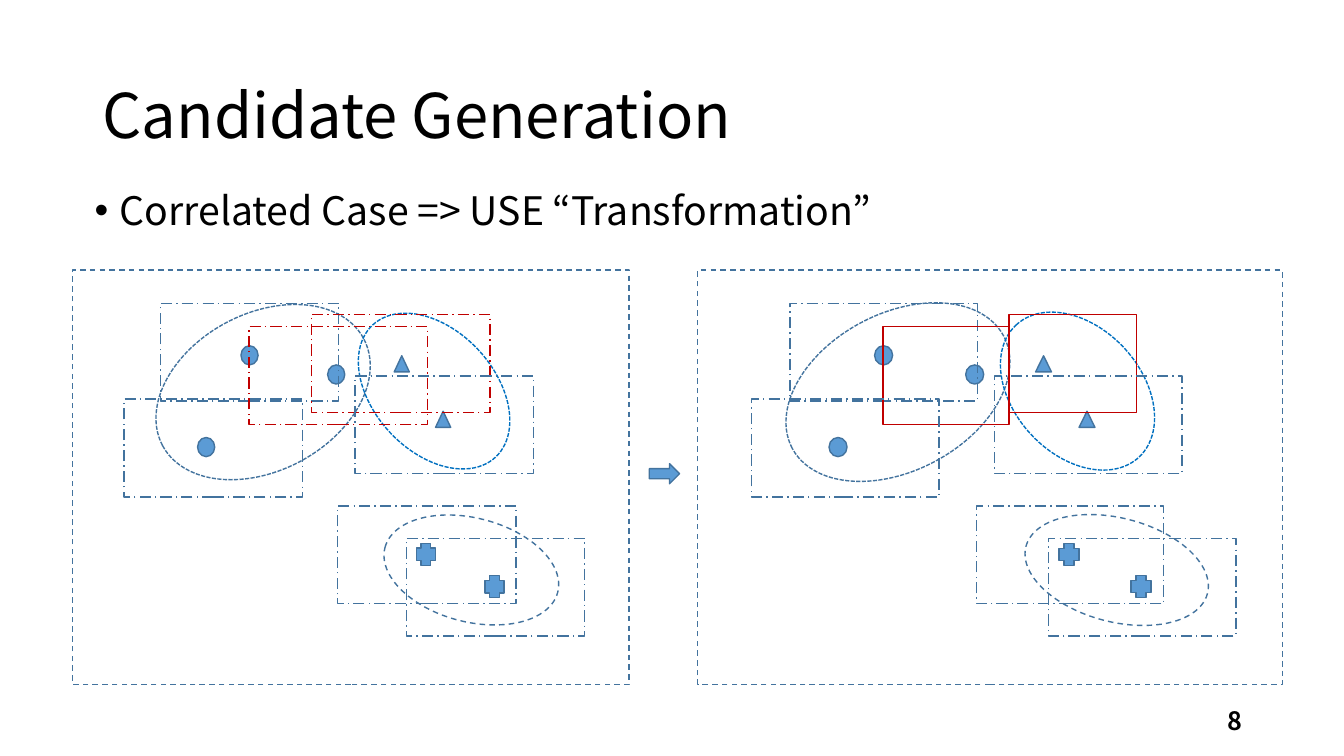
import lxml.etree
import pptx
import pptx.dml.color
import pptx.enum.dml
import pptx.enum.shapes
import pptx.enum.text
import pptx.oxml.ns
import pptx.util

SHAPE = pptx.enum.shapes.MSO_SHAPE
DASH = pptx.enum.dml.MSO_LINE
ANCHOR = pptx.enum.text.MSO_ANCHOR
ALIGN = pptx.enum.text.PP_ALIGN
FONT = "Noto Sans CJK KR"
COLORS = {"text": "000000", "edge": "43739E", "fill": "5B9BD5",
          "cluster": "0070C0", "overlap": "C00000"}

PANEL_UNITS = (5.52, 4.11)
CUT = 2.94
CLUSTERS = [
    (0.76, 0.43, 2.26, 1.56, 332, "edge", DASH.SQUARE_DOT),
    (2.69, 0.6, 1.79, 1.2, 47.1, "cluster", DASH.SQUARE_DOT),
    (3.07, 2.46, 1.77, 1.03, 14.5, "edge", DASH.DASH),
]
MARKS = [
    (SHAPE.FLOWCHART_CONNECTOR, 0.17, 0.19, [(1.67, 0.75), (2.53, 0.94), (1.24, 1.66)]),
    (SHAPE.ISOSCELES_TRIANGLE, 0.15, 0.16, [(3.19, 0.85), (3.6, 1.4)]),
    (SHAPE.CROSS, 0.19, 0.22, [(3.41, 2.71), (4.09, 3.03)]),
]
WINDOW = (1.77, 0.97)
WINDOWS = [
    (0.87, 0.33, None), (1.75, 0.56, "before"), (0.51, 1.28, None),
    (2.37, 0.44, "after"), (2.8, 1.05, None), (2.63, 2.34, None), (3.31, 2.66, None),
]


def color(name):
    """Return the named colour."""
    return pptx.dml.color.RGBColor.from_string(COLORS[name])


def inches(box):
    """Convert a box in inches to lengths."""
    return [pptx.util.Inches(value) for value in box]


def add_text(page, box, text, size, anchor=ANCHOR.TOP, align=ALIGN.LEFT,
             bold=False, spacing=1.0, bullet=False):
    """Add one paragraph of text in a wrapping box."""
    frame = page.shapes.add_textbox(*inches(box)).text_frame
    frame.word_wrap = True
    frame.vertical_anchor = anchor
    para = frame.paragraphs[0]
    para.alignment = align
    para.line_spacing = spacing
    if bullet:
        props = para._p.get_or_add_pPr()
        props.set("marL", str(pptx.util.Inches(0.25)))
        props.set("indent", str(pptx.util.Inches(-0.25)))
        for tag, key, value in (("a:buFont", "typeface", "Arial"), ("a:buChar", "char", "•")):
            lxml.etree.SubElement(props, pptx.oxml.ns.qn(tag)).set(key, value)
    span = para.add_run()
    span.text = text
    span.font.name = FONT
    span.font.size = pptx.util.Pt(size)
    span.font.bold = bold
    span.font.color.rgb = color("text")


def add_figure(shapes, kind, box, edge="edge", dash=None, filled=False, turn=0):
    """Add a preset shape with a one-point outline."""
    figure = shapes.add_shape(kind, *inches(box))
    figure.shadow.inherit = False
    figure.rotation = turn
    if filled:
        figure.fill.solid()
        figure.fill.fore_color.rgb = color("fill")
    else:
        figure.fill.background()
    figure.line.color.rgb = color(edge)
    figure.line.width = pptx.util.Pt(1)
    if dash is not None:
        figure.line.dash_style = dash


def add_panel(page, box, transformed):
    """Draw clusters, points and windows, cutting overlaps if transformed."""
    left, top, width, height = box
    across, down = width / PANEL_UNITS[0], height / PANEL_UNITS[1]
    shapes = page.shapes.add_group_shape().shapes

    def place(x, y, wide, tall):
        return left + x * across, top + y * down, wide * across, tall * down

    add_figure(shapes, SHAPE.RECTANGLE, box, dash=DASH.DASH)
    for x, y, wide, tall, turn, edge, dash in CLUSTERS:
        spot = place(x, y, wide, tall)
        if 45 < turn < 135:
            middle_x, middle_y = spot[0] + spot[2] / 2, spot[1] + spot[3] / 2
            long, short = wide * down, tall * across
            spot = middle_x - long / 2, middle_y - short / 2, long, short
        add_figure(shapes, SHAPE.OVAL, spot, edge, dash, turn=turn)
    for kind, wide, tall, points in MARKS:
        for x, y in points:
            add_figure(shapes, kind, place(x, y, wide, tall), filled=True)
    for x, y, side in WINDOWS:
        start, end = x, x + WINDOW[0]
        if transformed and side == "before":
            end = CUT
        elif transformed and side == "after":
            start = CUT
        add_figure(shapes, SHAPE.RECTANGLE, place(start, y, end - start, WINDOW[1]),
                   "overlap" if side else "edge",
                   None if transformed and side else DASH.LONG_DASH_DOT)


def add_header(page, box):
    """Add the title and the bullet below it."""
    left, top, width, height = box
    add_text(page, (left, top, width, height), "Candidate Generation", 44,
             anchor=ANCHOR.MIDDLE, spacing=0.9)
    add_text(page, (left - 0.08, top + height - 0.05, width, 0.7),
             "Correlated Case => USE “Transformation”", 28, spacing=0.9, bullet=True)


def main():
    """Build the candidate generation slide."""
    deck = pptx.Presentation()
    deck.slide_width, deck.slide_height = inches((13.33, 7.5))
    page = deck.slides.add_slide(deck.slide_layouts[6])
    add_header(page, (0.92, 0.45, 11.5, 1.45))
    add_text(page, (9.42, 6.95, 3, 0.4), "8", 18, anchor=ANCHOR.MIDDLE,
             align=ALIGN.RIGHT, bold=True)
    add_panel(page, (0.72, 2.68, 5.52, 4.11), transformed=False)
    add_panel(page, (6.92, 2.68, 5.8, 4.11), transformed=True)
    add_figure(page.shapes, SHAPE.RIGHT_ARROW, (6.44, 4.6, 0.3, 0.2), filled=True)
    deck.save("out.pptx")


if __name__ == "__main__":
    main()
